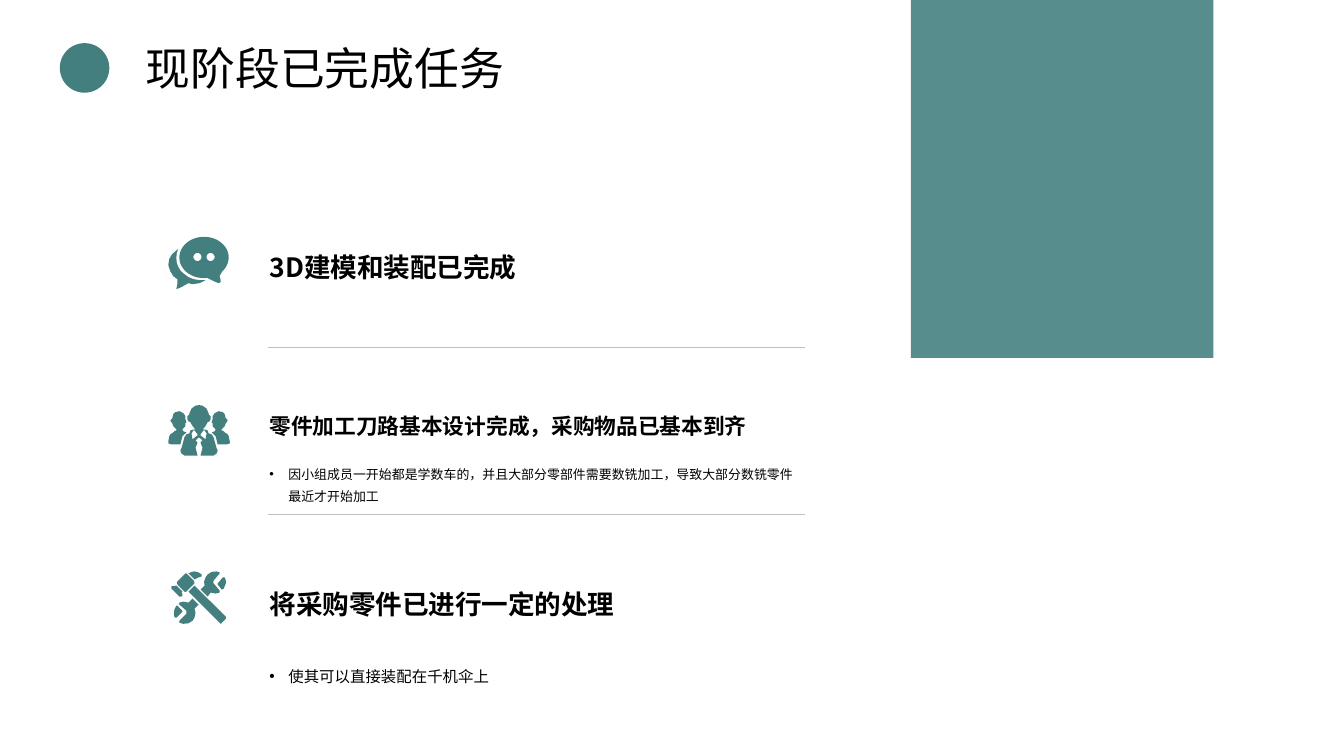
from math import cos, radians, sin

from lxml.etree import SubElement
from pptx import Presentation
from pptx.dml.color import RGBColor
from pptx.enum.shapes import MSO_CONNECTOR as Connector, MSO_SHAPE as Shape
from pptx.enum.text import MSO_ANCHOR as Anchor, PP_ALIGN as Align
from pptx.oxml.ns import qn
from pptx.util import Pt

FONT = "Noto Sans CJK SC"
TEAL, BLACK, GREY = "437F7F", "000000", "BFBFBF"
TEXT_LEFT, TEXT_WIDTH = 185.4, 389.5

# Icon outlines, in hundredths of an inch from the icon's corner
BACK_BUBBLE = [(10, 12), (8.5, 16), (8, 21), (8.5, 26), (10, 30), (12.5, 34),
               (16, 37), (20, 40), (25, 42), (31, 43), (37, 43), (31, 46),
               (24, 47), (20, 46), (13, 50), (8, 52), (9, 47), (9, 42),
               (5, 39), (2, 34), (0, 28), (1, 22), (4, 17)]
FRONT_TAIL = [(51, 39), (52, 43), (52, 45), (50, 46), (45, 44), (39, 41)]
LEADER_HALF = [(31.5, 0), (35, 0.5), (39, 3.5), (41, 8), (41, 9), (43, 11),
               (43, 14), (42, 16), (40, 17), (39, 19), (37, 22), (35, 24),
               (36, 24), (40, 25), (41, 28), (44, 29), (46, 32), (49, 43),
               (50, 45), (49, 48), (46, 50), (33, 50), (35, 42), (34, 40),
               (33, 37), (35, 35), (31.5, 32)]
LAPEL = [(36, 25), (33, 29), (33, 30), (38, 34), (39, 28), (37, 25)]
MEMBER = [(51, 6), (55, 7), (57, 9), (58, 13), (60, 15), (59, 17), (58, 18),
          (57, 21), (54, 24), (54, 25), (56, 26), (57, 27), (60, 29), (61, 31),
          (62, 36), (62, 38), (59, 39), (50, 39), (48, 31), (44, 27),
          (47, 26), (48, 24), (45, 21), (45, 18), (44, 17), (45, 14),
          (45, 11), (47, 8)]
TOOLS = [
    # Lower jaw and lower half of the spanner
    [(5, 34), (6, 34), (11, 39), (11, 40), (5, 46), (4, 46), (3, 45),
     (2.5, 42), (3, 38)],
    [(21, 27), (27, 33), (23, 37), (24, 41), (23, 46), (21, 49), (17, 51.5),
     (12, 52), (8, 51), (8, 49), (15, 42), (15, 39), (8, 33), (7.5, 32),
     (8, 31), (12, 30), (17, 31)],
    # Hammer handle, peen, head and claw
    [(23, 14), (54, 45), (54, 47), (50, 51), (49, 52), (48, 51), (17, 20)],
    [(5, 14), (11, 20), (10, 21), (11, 22), (11, 24), (10, 25), (8, 25),
     (0, 17), (0, 15), (1, 14.5), (3, 14.5)],
    [(14, 2), (15, 2), (16, 3), (22, 9), (23, 11), (23, 12), (15, 20),
     (14, 20.5), (13, 20), (6, 13), (5.5, 11), (6, 10), (13, 3)],
    [(17, 2), (20, 0.5), (23, 0), (27, 1), (30, 3), (30, 5), (27, 6), (23, 8)],
    # Upper jaw and upper half of the spanner
    [(51, 6), (53, 6), (54, 9), (54, 12), (52, 17), (50, 18), (46, 13),
     (46, 12)],
    [(45, 0), (48, 1), (48, 2), (42, 9), (41.5, 11), (42, 12), (48, 19),
     (48, 21), (44, 22), (39, 21), (36, 25), (29, 18), (33, 14), (32.5, 10),
     (34, 6), (36, 3), (40, 0.5)],
]


def color(hex_text):
    return RGBColor.from_string(hex_text)


def arc(cx, cy, rx, ry, start=0, end=360, steps=48):
    angles = [radians(start + (end - start) * i / steps) for i in range(steps)]
    return [(cx + rx * cos(a), cy + ry * sin(a)) for a in angles]


def mirror(outline, width):
    return [(width - x, y) for x, y in reversed(outline)]


def paint(shape, hex_text, opacity=100):
    shape.shadow.inherit = False
    shape.fill.solid()
    shape.fill.fore_color.rgb = color(hex_text)
    shape.line.fill.background()
    if opacity < 100:
        tint = shape.fill._xPr.find(qn("a:solidFill"))[0]
        SubElement(tint, qn("a:alpha"), val=str(opacity * 1000))


def add_block(slide, kind, left, top, width, height, fill, opacity=100):
    block = slide.shapes.add_shape(kind, Pt(left), Pt(top), Pt(width), Pt(height))
    paint(block, fill, opacity)


def add_icon(slide, left, top, outlines):
    fine = [[(x * 10, y * 10) for x, y in outline] for outline in outlines]
    builder = slide.shapes.build_freeform(*fine[0][0], scale=Pt(0.072))
    for i, outline in enumerate(fine):
        if i:
            builder.move_to(*outline[0])
        builder.add_line_segments(outline[1:], close=True)
    paint(builder.convert_to_shape(Pt(left), Pt(top)), TEAL)


def add_rule(slide, y):
    rule = slide.shapes.add_connector(
        Connector.STRAIGHT, Pt(191.5), Pt(y), Pt(574.8), Pt(y))
    rule.line.color.rgb = color(GREY)
    rule.line.width = Pt(0.25)
    SubElement(rule._element.spPr, qn("a:effectLst"))


def add_text(slide, text, top, height, size, left=TEXT_LEFT, width=TEXT_WIDTH,
             bold=False, bullet=False, spacing=None, anchor=Anchor.MIDDLE,
             align=None):
    box = slide.shapes.add_textbox(Pt(left), Pt(top), Pt(width), Pt(height))
    frame = box.text_frame
    frame.word_wrap = True
    frame.vertical_anchor = anchor
    paragraph = frame.paragraphs[0]
    if bullet:
        props = paragraph._p.get_or_add_pPr()
        props.set("marL", str(Pt(13.5)))
        props.set("indent", str(Pt(-13.5)))
        SubElement(props, qn("a:buFont"), typeface="Arial")
        SubElement(props, qn("a:buChar"), char="•")
    if spacing:
        paragraph.line_spacing = spacing
    paragraph.alignment = align
    run = paragraph.add_run()
    run.text = text
    run.font.size = Pt(size)
    run.font.bold = bold
    run.font.color.rgb = color(BLACK)
    run.font.name = FONT
    SubElement(run._r.get_or_add_rPr(), qn("a:ea"), typeface=FONT)


def main():
    deck = Presentation()
    deck.slide_width, deck.slide_height = Pt(960), Pt(540)
    slide = deck.slides.add_slide(deck.slide_layouts[6])

    # Corner panel and title
    add_block(slide, Shape.RECTANGLE, 650.7, 0, 216, 255.6, TEAL, opacity=89)
    add_block(slide, Shape.OVAL, 42.7, 30.8, 35.4, 35.4, TEAL)
    add_text(slide, "现阶段已完成任务", 25.2, 46.1, 32, left=97, width=282.2,
             align=Align.JUSTIFY)

    # Icons
    add_icon(slide, 120.2, 169.2, [
        arc(42, 20, 4, 4), arc(29, 20, 4, 4), BACK_BUBBLE,
        arc(35.5, 20.5, 24.5, 20.5, 80, 410) + FRONT_TAIL])
    add_icon(slide, 119.5, 289.4, [
        LEADER_HALF + mirror(LEADER_HALF, 63), LAPEL, mirror(LAPEL, 63),
        MEMBER, mirror(MEMBER, 63)])
    add_icon(slide, 122.4, 408.2, TOOLS)

    # Finished tasks
    add_text(slide, "3D建模和装配已完成", 174.2, 32.4, 19, bold=True)
    add_text(slide, "零件加工刀路基本设计完成，采购物品已基本到齐", 288, 32.4, 15.5,
             bold=True)
    add_text(slide, "因小组成员一开始都是学数车的，并且大部分零部件需要数铣加工，"
             "导致大部分数铣零件最近才开始加工", 325.4, 36, 9.2, bullet=True,
             spacing=1.4, anchor=Anchor.TOP)
    add_text(slide, "将采购零件已进行一定的处理", 414.7, 33.1, 19, bold=True)
    add_text(slide, "使其可以直接装配在千机伞上", 466.2, 33.1, 11, bullet=True,
             spacing=1.5, anchor=Anchor.TOP)

    # Dividers
    for y in (247.7, 367.2):
        add_rule(slide, y)

    deck.save("out.pptx")


if __name__ == "__main__":
    main()
